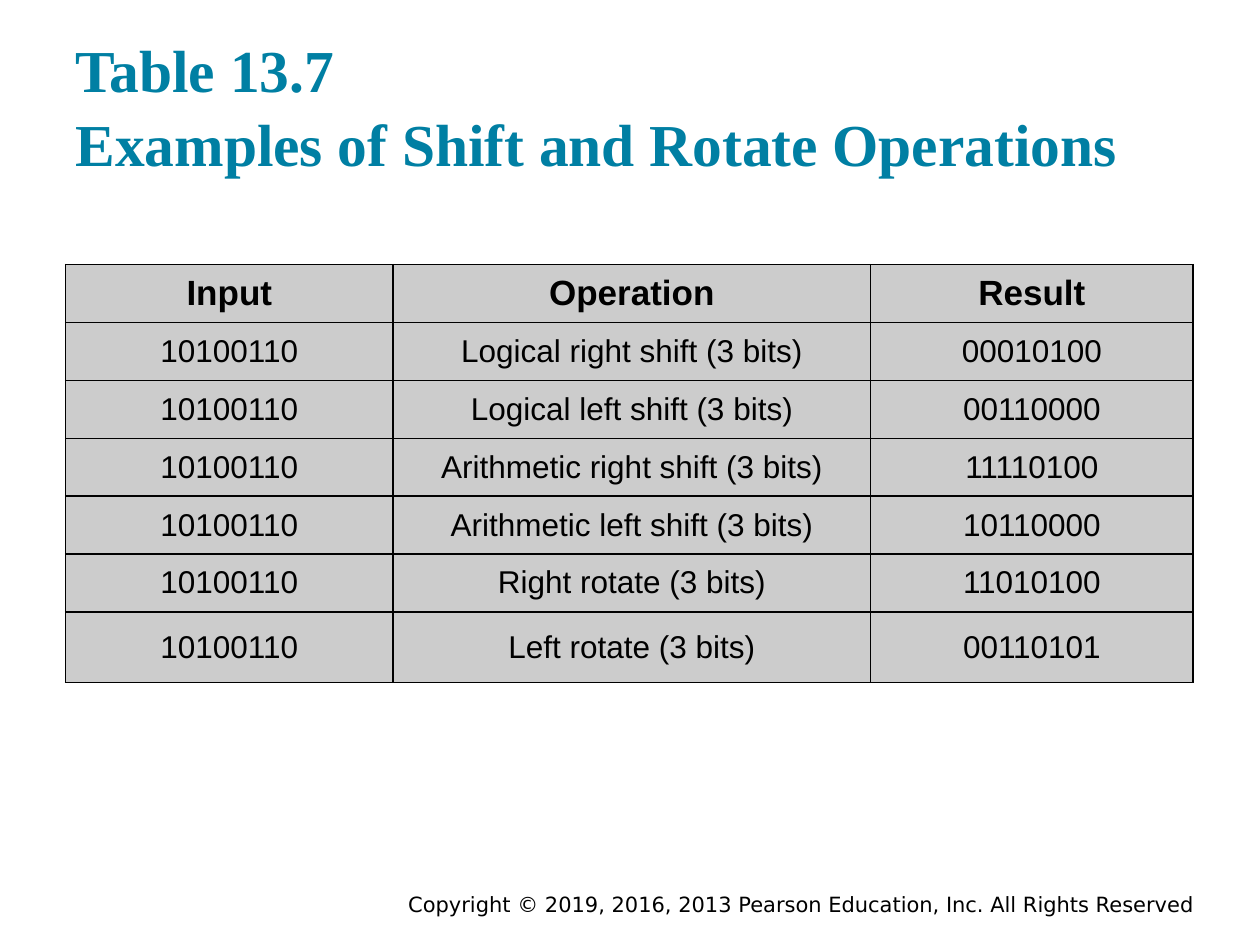
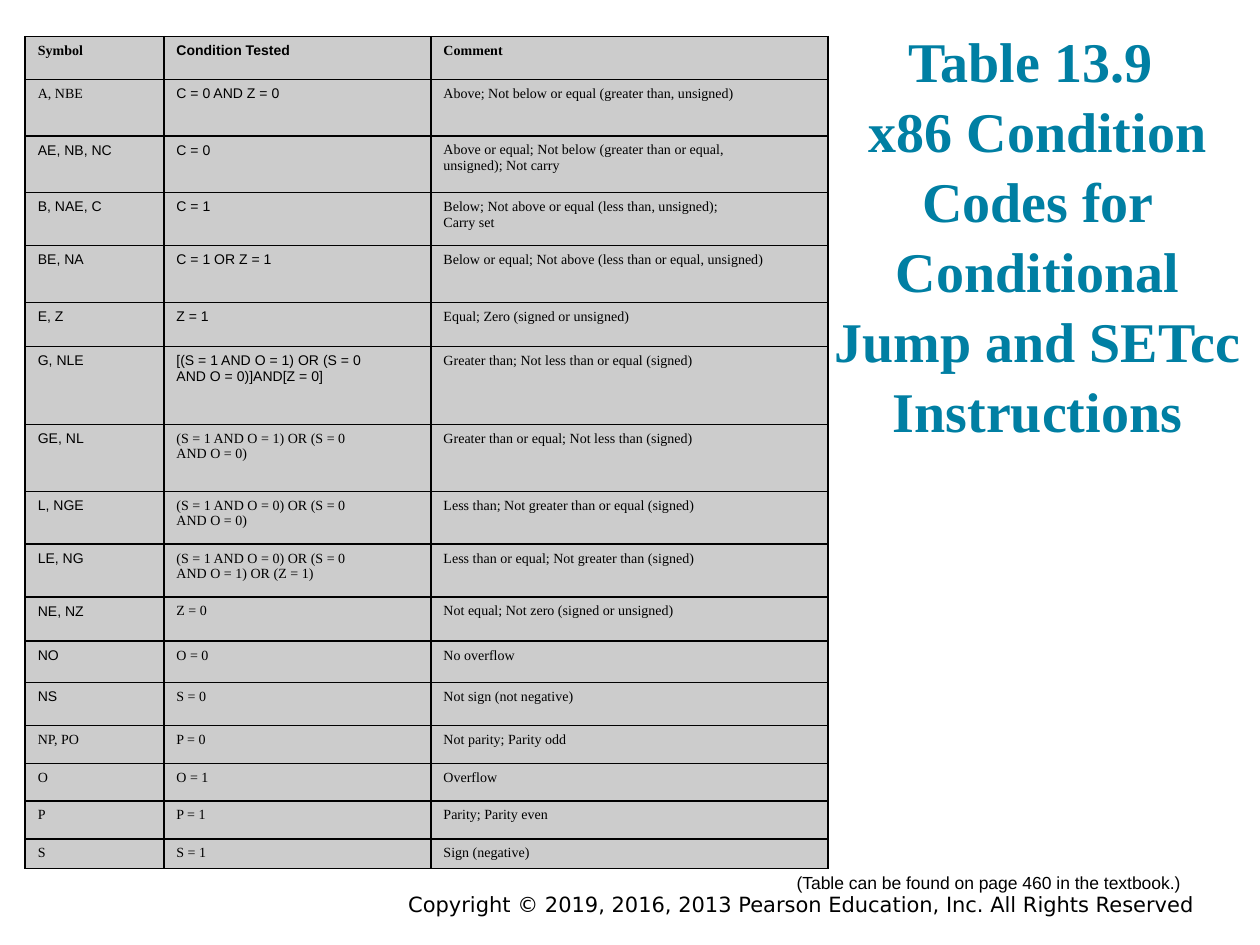
from copy import deepcopy
from dataclasses import dataclass

from pptx import Presentation
from pptx.dml.color import RGBColor
from pptx.enum.text import MSO_ANCHOR as Anchor, MSO_AUTO_SIZE as AutoSize, PP_ALIGN as Align
from pptx.oxml import parse_xml
from pptx.oxml.ns import nsdecls, qn
from pptx.util import Inches, Pt

# Shared look
SERIF, SANS, FOOTER_FONT = "Times New Roman", "Arial", "DejaVu Sans"
TEAL, BLACK, GREY = "007FA3", "000000", "CCCCCC"
WIDTH, HEIGHT = Inches(10), Inches(7.5)
COPYRIGHT = "Copyright © 2019, 2016, 2013 Pearson Education, Inc. All Rights Reserved"


@dataclass
class Box:
    """Left, top, width and height in percent of the slide."""
    left: float
    top: float
    width: float
    height: float

    def place(self) -> tuple:
        return across(self.left), down(self.top), across(self.width), down(self.height)


@dataclass
class Style:
    font: str
    size: float
    color: str = BLACK
    bold: bool = False
    align: Align = Align.LEFT
    spacing: float = 1.0


@dataclass
class Grid:
    """Table position, column widths and row heights in percent of the slide."""
    left: float
    top: float
    cols: list
    rows: list
    anchor: Anchor


def across(percent: float) -> int:
    return round(WIDTH * percent / 100)


def down(percent: float) -> int:
    return round(HEIGHT * percent / 100)


def rgb(value: str) -> RGBColor:
    return RGBColor.from_string(value)


def write(tf, text: str, style: Style) -> None:
    tf.text = text
    values = {"name": style.font, "size": Pt(style.size), "bold": style.bold}
    for p in tf.paragraphs:
        p.alignment, p.line_spacing = style.align, style.spacing
        for r in p.runs:
            for key, value in values.items():
                setattr(r.font, key, value)
            r.font.color.rgb = rgb(style.color)
        # Line breaks take the run format so that they keep its height
        for br in p._p.findall(qn("a:br")):
            br.insert(0, deepcopy(p.runs[0]._r.rPr))


def add_text(s, text: str, box: Box, style: Style) -> None:
    tf = s.shapes.add_textbox(*box.place()).text_frame
    tf.word_wrap = True
    write(tf, text, style)


def add_titled_slide(prs, title: str, box: Box, size: float, align: Align):
    s = prs.slides.add_slide(prs.slide_layouts[5])
    sp = s.shapes.title
    sp.left, sp.top, sp.width, sp.height = box.place()
    tf = sp.text_frame
    tf.auto_size, tf.word_wrap = AutoSize.NONE, True
    tf.vertical_anchor = Anchor.BOTTOM
    write(tf, title, Style(SERIF, size, TEAL, True, align, 1.04))
    add_text(s, COPYRIGHT, Box(17.5, 93.73, 78.3, 2.93),
             Style(FOOTER_FONT, 12, align=Align.RIGHT))
    return s


def add_borders(cell) -> None:
    tc_pr = cell._tc.get_or_add_tcPr()
    for i, side in enumerate(("lnL", "lnR", "lnT", "lnB")):
        tc_pr.insert(i, parse_xml(
            f'<a:{side} {nsdecls("a")} w="12700"><a:solidFill>'
            f'<a:srgbClr val="{BLACK}"/></a:solidFill></a:{side}>'))


def add_grid(s, data: list, grid: Grid, style_of) -> None:
    box = Box(grid.left, grid.top, sum(grid.cols), sum(grid.rows))
    table = s.shapes.add_table(len(data), len(grid.cols), *box.place()).table
    table.first_row = table.horz_banding = False
    for col, width in zip(table.columns, grid.cols):
        col.width = across(width)
    for i, (row, height) in enumerate(zip(table.rows, grid.rows)):
        row.height = down(height)
        for j, cell in enumerate(row.cells):
            cell.fill.solid()
            cell.fill.fore_color.rgb = rgb(GREY)
            cell.vertical_anchor = grid.anchor
            add_borders(cell)
            write(cell.text_frame, data[i][j], style_of(i, j))


# Slide 1: shift and rotate operations
SHIFT_INPUT = "10100110"
SHIFTS = [
    ("Logical right shift", "00010100"),
    ("Logical left shift", "00110000"),
    ("Arithmetic right shift", "11110100"),
    ("Arithmetic left shift", "10110000"),
    ("Right rotate", "11010100"),
    ("Left rotate", "00110101"),
]


def shift_style(row: int, col: int) -> Style:
    return Style(SANS, 18 if row else 20, bold=row == 0, align=Align.CENTER)


def build_shifts(prs) -> None:
    s = add_titled_slide(prs, "Table 13.7\vExamples of Shift and Rotate Operations",
                         Box(5, 3.6, 90, 16), 34, Align.LEFT)
    data = [("Input", "Operation", "Result")]
    data += [(SHIFT_INPUT, f"{name} (3 bits)", result) for name, result in SHIFTS]
    grid = Grid(5.2, 28, [26, 37.9, 25.6], [6.13] * 6 + [7.47], Anchor.MIDDLE)
    add_grid(s, data, grid, shift_style)


# Slide 2: condition codes
CONDITIONS = [
    ("Symbol", "Condition Tested", "Comment"),
    ("A, NBE", "C = 0 AND Z = 0", "Above; Not below or equal (greater than, unsigned)"),
    ("AE, NB, NC", "C = 0",
     "Above or equal; Not below (greater than or equal,\nunsigned); Not carry"),
    ("B, NAE, C", "C = 1", "Below; Not above or equal (less than, unsigned);\nCarry set"),
    ("BE, NA", "C = 1 OR Z = 1", "Below or equal; Not above (less than or equal, unsigned)"),
    ("E, Z", "Z = 1", "Equal; Zero (signed or unsigned)"),
    ("G, NLE", "[(S = 1 AND O = 1) OR (S = 0\nAND O = 0)]AND[Z = 0]",
     "Greater than; Not less than or equal (signed)"),
    ("GE, NL", "(S = 1 AND O = 1) OR (S = 0\nAND O = 0)",
     "Greater than or equal; Not less than (signed)"),
    ("L, NGE", "(S = 1 AND O = 0) OR (S = 0\nAND O = 0)",
     "Less than; Not greater than or equal (signed)"),
    ("LE, NG", "(S = 1 AND O = 0) OR (S = 0\nAND O = 1) OR (Z = 1)",
     "Less than or equal; Not greater than (signed)"),
    ("NE, NZ", "Z = 0", "Not equal; Not zero (signed or unsigned)"),
    ("NO", "O = 0", "No overflow"),
    ("NS", "S = 0", "Not sign (not negative)"),
    ("NP, PO", "P = 0", "Not parity; Parity odd"),
    ("O", "O = 1", "Overflow"),
    ("P", "P = 1", "Parity; Parity even"),
    ("S", "S = 1", "Sign (negative)"),
]
CONDITION_ROWS = [4.53, 6, 6, 5.6, 6, 4.67, 8.27, 7.07, 5.6, 5.6, 4.67, 4.4, 4.53, 4, 4, 4, 2]
# Rows set in the sans font, by column
SANS_ROWS = {0: range(2, 13), 1: range(0, 7), 2: range(0)}


def condition_style(row: int, col: int) -> Style:
    return Style(SANS if row in SANS_ROWS[col] else SERIF, 8, bold=row == 0)


def build_conditions(prs) -> None:
    s = add_titled_slide(
        prs, "Table 13.9 \vx86 Condition Codes for Conditional Jump and SETcc Instructions",
        Box(65, 4.53, 34.7, 43.07), 32, Align.CENTER)
    grid = Grid(2, 3.87, [11, 21.2, 31.5], CONDITION_ROWS, Anchor.TOP)
    add_grid(s, CONDITIONS, grid, condition_style)
    add_text(s, "(Table can be found on page 460 in the textbook.)",
             Box(56.8, 91.6, 43.3, 3.6), Style(SANS, 10, align=Align.CENTER))


def main() -> None:
    prs = Presentation()
    prs.slide_width, prs.slide_height = WIDTH, HEIGHT
    build_shifts(prs)
    build_conditions(prs)
    prs.save("out.pptx")


if __name__ == "__main__":
    main()
